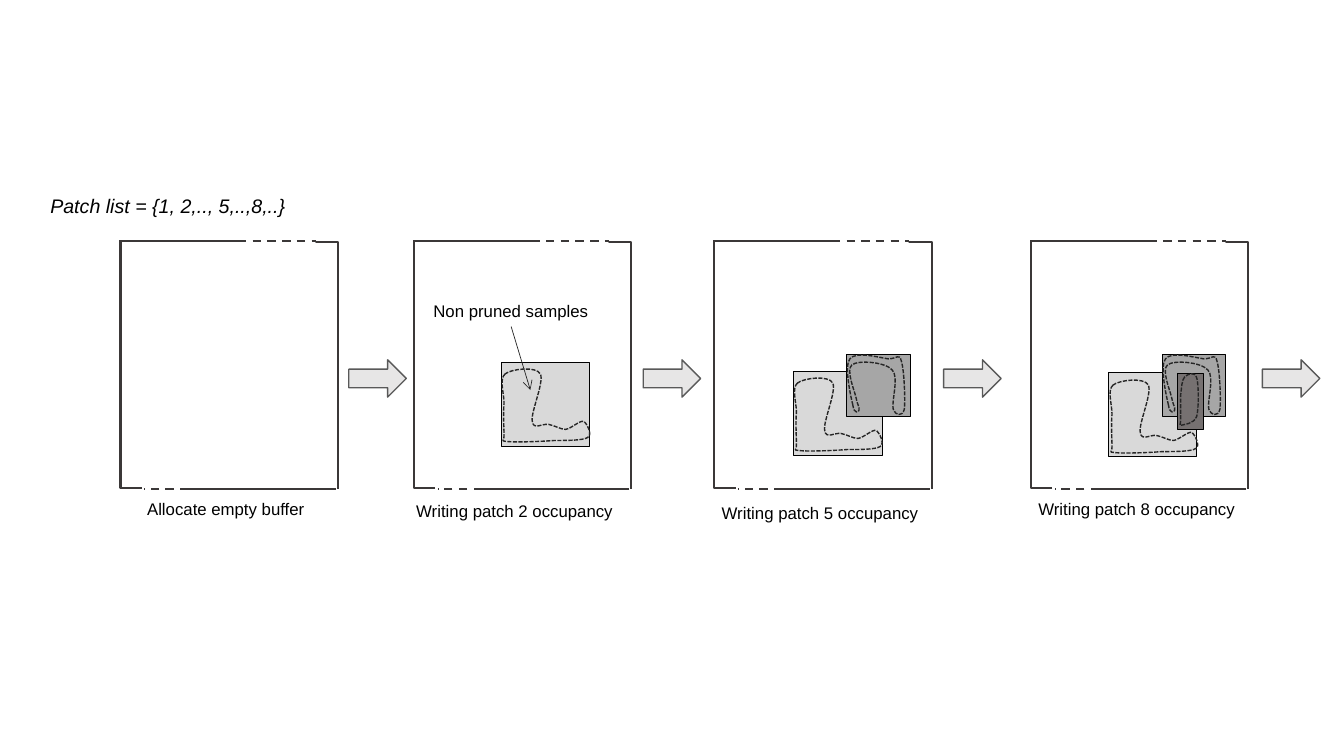
from pptx import Presentation
from pptx.dml.color import RGBColor
from pptx.enum.dml import MSO_LINE_DASH_STYLE as Dash
from pptx.enum.shapes import MSO_CONNECTOR as Connector, MSO_SHAPE as Shape
from pptx.enum.text import MSO_AUTO_SIZE as AutoSize, PP_ALIGN as Align
from pptx.oxml.ns import qn
from pptx.util import Inches, Pt
from lxml.etree import SubElement

FRAME, INK, DASHES = "3B3838", "262626", Dash.DASH
LIGHT, MIDDLE, DARK = "D9D9D9", "A6A6A6", "767171"

# Buffer left edge, arrow left edge
BUFFERS = [(1.2, 3.46), (4.11, 6.38), (7.09, 9.36), (10.23, 12.52)]
FRAME_TOP, FRAME_BOTTOM = 2.39, 4.85

# Straight frame parts: start and end from the buffer's left edge, height, dash
FRAME_LINES = [
    (0, 1.17, FRAME_TOP, None),
    (1.16, 1.93, FRAME_TOP, DASHES),
    (2.13, 0.67, FRAME_BOTTOM, None),
    (0.67, 0.23, FRAME_BOTTOM, DASHES),
]

# Left, top, width, height, fill
PATCHES = [
    (10.99, 3.7, 0.88, 0.83, LIGHT),
    (7.87, 3.69, 0.88, 0.83, LIGHT),
    (4.97, 3.6, 0.88, 0.83, LIGHT),
    (8.4, 3.52, 0.63, 0.61, MIDDLE),
    (11.53, 3.52, 0.63, 0.61, MIDDLE),
    (11.68, 3.71, 0.26, 0.55, DARK),
]

# Closed curves: size, start point, then two control points and an end point per row
BOOT = (0.87, 0.72), (0.03, 0.05), [
    (-0.03, 0.10, 0.02, 0.24, 0.02, 0.34),
    (0.01, 0.44, 0.02, 0.60, 0.02, 0.66),
    (0.03, 0.72, -0.03, 0.71, 0.05, 0.72),
    (0.14, 0.73, 0.39, 0.72, 0.52, 0.71),
    (0.66, 0.71, 0.80, 0.71, 0.85, 0.68),
    (0.90, 0.65, 0.84, 0.54, 0.81, 0.52),
    (0.77, 0.51, 0.69, 0.59, 0.63, 0.60),
    (0.58, 0.60, 0.52, 0.56, 0.46, 0.55),
    (0.40, 0.54, 0.31, 0.61, 0.30, 0.52),
    (0.28, 0.44, 0.42, 0.13, 0.38, 0.05),
    (0.34, -0.03, 0.09, 0, 0.03, 0.05),
]
ARCH = (0.56, 0.59), (0.05, 0.50), [
    (0.03, 0.42, -0.04, 0.11, 0.02, 0.04),
    (0.08, -0.04, 0.32, 0.03, 0.40, 0.04),
    (0.49, 0.04, 0.51, -0.02, 0.53, 0.06),
    (0.56, 0.15, 0.57, 0.46, 0.56, 0.54),
    (0.54, 0.62, 0.47, 0.60, 0.45, 0.54),
    (0.43, 0.47, 0.51, 0.22, 0.44, 0.15),
    (0.37, 0.07, 0.10, 0.05, 0.04, 0.10),
    (-0.02, 0.15, 0.06, 0.34, 0.08, 0.42),
    (0.09, 0.49, 0.12, 0.52, 0.11, 0.55),
    (0.11, 0.57, 0.06, 0.59, 0.05, 0.50),
]
BAR = (0.18, 0.52), (0.05, 0.03), [
    (0.02, 0.06, 0.02, 0.14, 0.01, 0.21),
    (0.01, 0.28, 0.01, 0.46, 0.01, 0.46),
    (0.01, 0.51, -0.01, 0.52, 0.01, 0.51),
    (0.04, 0.50, 0.14, 0.50, 0.17, 0.42),
    (0.19, 0.34, 0.19, 0.11, 0.17, 0.04),
    (0.15, -0.03, 0.08, 0, 0.05, 0.03),
]
SAMPLES = [
    (4.98, 3.66, BOOT), (7.88, 3.75, BOOT), (11.01, 3.77, BOOT),
    (8.41, 3.52, ARCH), (11.54, 3.52, ARCH), (11.7, 3.71, BAR),
]

LABELS = [
    ("Patch list = {1, 2,.., 5,..,8,..}", (0.4, 1.87, 2.55, 0.34), {"size": 14, "italic": True}),
    ("Non pruned samples", (4.2, 2.93, 1.75, 0.3), {}),
    ("Writing patch 5 occupancy", (7.06, 4.94, 2.17, 0.3), {}),
    ("Writing patch 2 occupancy", (4.03, 4.92, 2.17, 0.3), {}),
    ("Writing patch 8 occupancy", (10.2, 4.9, 2.17, 0.3), {}),
    ("Allocate empty buffer", (1.35, 4.9, 1.78, 0.3), {"align": Align.CENTER}),
]


def color(hex_text):
    return RGBColor.from_string(hex_text)


def set_line(shape, line_color, width, dash=None):
    shape.line.color.rgb = color(line_color)
    shape.line.width = Pt(width)
    if dash:
        shape.line.dash_style = dash


def add_box(slide, kind, box, fill, line_color, width):
    shape = slide.shapes.add_shape(kind, *map(Inches, box))
    shape.shadow.inherit = False
    shape.fill.solid()
    shape.fill.fore_color.rgb = color(fill)
    set_line(shape, line_color, width)


def add_line(slide, points, line_color, width, dash=None, kind=Connector.STRAIGHT):
    line = slide.shapes.add_connector(kind, *map(Inches, points))
    set_line(line, line_color, width, dash)
    SubElement(line._element.spPr, qn("a:effectLst"))
    return line


def add_corner(slide, points, bend):
    """Draw an elbow turned by 270 degrees that bends near its start."""
    corner = add_line(slide, points, FRAME, 1.5, kind=Connector.ELBOW)
    properties = corner._element.spPr
    properties.find(qn("a:xfrm")).set("rot", "16200000")
    adjustments = properties.find(qn("a:prstGeom")).find(qn("a:avLst"))
    SubElement(adjustments, qn("a:gd"), name="adj1", fmla=f"val {bend}")


def add_buffer(slide, left):
    for start, end, y, dash in FRAME_LINES:
        add_line(slide, (left + start, y, left + end, y), FRAME, 1.5, dash)
    add_corner(slide, (left + 3.27, 3.51, left + 0.81, 3.73), 400)
    add_corner(slide, (left - 1.13, 3.72, left + 1.33, 3.51), 0)


def add_samples(slide, left, top, outline):
    """Draw a closed dashed outline of cubic curves."""
    (width, height), start, curves = outline
    builder = slide.shapes.build_freeform(*map(Inches, start))
    builder.add_line_segments([tuple(map(Inches, curve[4:])) for curve in curves])
    shape = builder.convert_to_shape()
    shape.left, shape.top = Inches(left), Inches(top)
    shape.width, shape.height = Inches(width), Inches(height)

    contour = next(shape._element.iter(qn("a:path")))
    contour.clear()
    contour.set("w", str(shape.width))
    contour.set("h", str(shape.height))
    for tag, values in [("a:moveTo", start)] + [("a:cubicBezTo", curve) for curve in curves]:
        command = SubElement(contour, qn(tag))
        for x, y in zip(values[::2], values[1::2]):
            SubElement(command, qn("a:pt"), x=str(Inches(x)), y=str(Inches(y)))
    SubElement(contour, qn("a:close"))

    shape.shadow.inherit = False
    shape.fill.background()
    set_line(shape, INK, 1, Dash.SQUARE_DOT)


def add_text(slide, text, box, size=12, italic=False, align=Align.LEFT):
    frame = slide.shapes.add_textbox(*map(Inches, box)).text_frame
    frame.word_wrap = False
    frame.auto_size = AutoSize.SHAPE_TO_FIT_TEXT
    paragraph = frame.paragraphs[0]
    paragraph.alignment = align
    run = paragraph.add_run()
    run.text = text
    run.font.name = "Arial"
    run.font.size = Pt(size)
    run.font.italic = italic
    run.font.color.rgb = color("000000")


def main():
    presentation = Presentation()
    presentation.slide_width, presentation.slide_height = Inches(13.33), Inches(7.5)
    slide = presentation.slides.add_slide(presentation.slide_layouts[6])

    for *box, fill in PATCHES:
        add_box(slide, Shape.RECTANGLE, box, fill, "000000", 0.75)
    for left, arrow_left in BUFFERS:
        add_buffer(slide, left)
        add_box(slide, Shape.RIGHT_ARROW, (arrow_left, 3.57, 0.57, 0.37), "E7E6E6", "595959", 1)
    for left, top, outline in SAMPLES:
        add_samples(slide, left, top, outline)
    for text, box, text_format in LABELS:
        add_text(slide, text, box, **text_format)

    pointer = add_line(slide, (5.07, 3.24, 5.26, 3.87), INK, 0.5)
    SubElement(pointer._element.spPr.find(qn("a:ln")), qn("a:tailEnd"), type="arrow")

    presentation.save("out.pptx")


if __name__ == "__main__":
    main()
